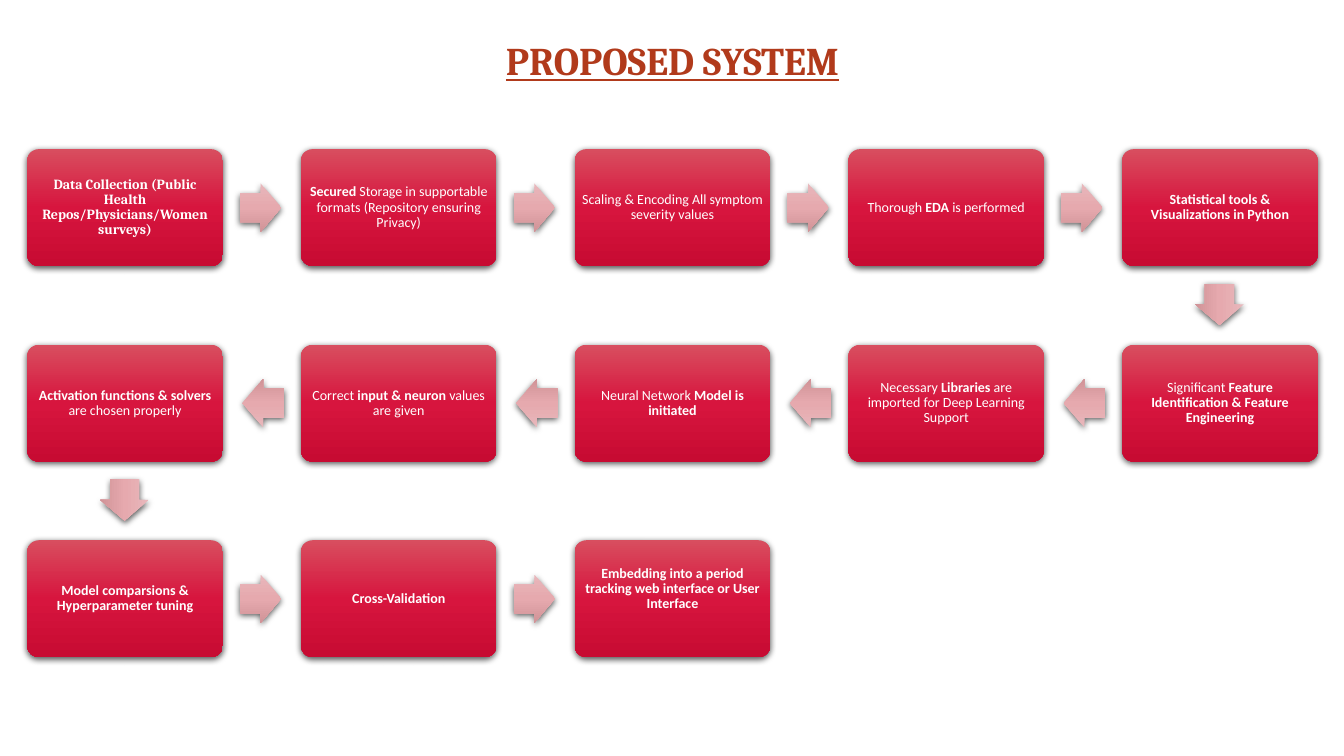
from lxml import etree
from pptx import Presentation
from pptx.dml.color import RGBColor
from pptx.enum.shapes import MSO_SHAPE as Preset
from pptx.enum.text import MSO_ANCHOR as Anchor, PP_ALIGN as Align
from pptx.oxml.ns import nsdecls
from pptx.util import Inches, Pt

COLORS = {"title": "B13A1B", "text": "FFFFFF", "shadow": "000000"}
GRADIENTS = {
    "step": ("D84E5F", "D7153E", "C70B32"),
    "arrow": ("E8B7BB", "E6A9AE", "D09397"),
}
COLUMNS = 5
LEFT, TOP = 0.27, 1.48
STEP_WIDTH, STEP_HEIGHT = 1.94, 1.16
COLUMN_PITCH, ROW_PITCH = (11.13 - LEFT) / (COLUMNS - 1), 1.94
ARROW_WIDTH, ARROW_HEIGHT = 0.41, 0.48

STEPS = [
    [("Data Collection (Public Health Repos/Physicians/Women surveys)", True)],
    [("Secured\u00a0", True),
     ("Storage in supportable formats (Repository ensuring Privacy)", False)],
    [("Scaling & Encoding All symptom severity values", False)],
    [("Thorough ", False), ("EDA ", True), ("is performed", False)],
    [("Statistical tools & Visualizations in Python", True)],
    [("Significant ", False), ("Feature Identification & Feature Engineering", True)],
    [("Necessary ", False), ("Libraries ", True),
     ("are imported for Deep Learning Support", False)],
    [("Neural Network ", False), ("Model is initiated", True)],
    [("Correct ", False), ("input & neuron ", True), ("values are given", False)],
    [("Activation functions & solvers ", True), ("are chosen properly", False)],
    [("Model comparsions & Hyperparameter tuning", True)],
    [("Cross-Validation", True)],
    [("Embedding into a period tracking web interface or User Interface", True)],
]


def write_text(shape, runs, size=10, font="Calibri", color="text", underline=None,
               spacing=0.9, margin=0.04, bottom=None):
    frame = shape.text_frame
    frame.word_wrap = True
    frame.vertical_anchor = Anchor.MIDDLE
    frame.margin_left = frame.margin_right = frame.margin_top = Inches(margin)
    frame.margin_bottom = Inches(margin if bottom is None else bottom)
    paragraph = frame.paragraphs[0]
    paragraph.alignment = Align.CENTER
    paragraph.line_spacing = spacing
    for text, bold in runs:
        run = paragraph.add_run()
        run.text = text
        run.font.size = Pt(size)
        run.font.name = font
        run.font.bold = bold
        run.font.underline = underline
        run.font.color.rgb = RGBColor.from_string(COLORS[color])


def add_glossy_shape(slide, preset, left, top, width, height, gradient, adjustments):
    shape = slide.shapes.add_shape(
        preset, Inches(left), Inches(top), Inches(width), Inches(height))
    for index, value in enumerate(adjustments):
        shape.adjustments[index] = value
    stops = "".join(
        f'<a:gs pos="{index * 50000}"><a:srgbClr val="{color}"/></a:gs>'
        for index, color in enumerate(GRADIENTS[gradient]))
    properties = shape._element.spPr
    properties.append(etree.fromstring(
        f'<a:gradFill {nsdecls("a")} rotWithShape="1"><a:gsLst>{stops}</a:gsLst>'
        '<a:lin ang="5400000" scaled="0"/></a:gradFill>'))
    shape.line.fill.background()
    properties.append(etree.fromstring(
        f'<a:effectLst {nsdecls("a")}><a:outerShdw blurRad="{Pt(4.5)}" '
        f'dist="{Pt(1.5)}" dir="5400000" algn="ctr" rotWithShape="0">'
        f'<a:srgbClr val="{COLORS["shadow"]}"><a:alpha val="63000"/></a:srgbClr>'
        '</a:outerShdw></a:effectLst>'))
    return shape


def step_cell(index):
    row, offset = divmod(index, COLUMNS)
    return row, offset if row % 2 == 0 else COLUMNS - 1 - offset


def cell_corner(row, column):
    return LEFT + column * COLUMN_PITCH, TOP + row * ROW_PITCH


def add_step(slide, index, runs):
    left, top = cell_corner(*step_cell(index))
    step = add_glossy_shape(slide, Preset.ROUNDED_RECTANGLE, left, top,
                            STEP_WIDTH, STEP_HEIGHT, "step", [0.1])
    write_text(step, runs, font="Cambria" if index == 0 else "Calibri",
               bottom=0.23 if index == len(STEPS) - 1 else None)


def add_arrow(slide, index):
    row, column = step_cell(index)
    next_row, next_column = step_cell(index + 1)
    left, top = cell_corner(row, column)
    if next_row > row:
        dx, dy, rotation = 0.76, 1.3, 90
    elif next_column > column:
        dx, dy, rotation = 2.11, 0.34, 0
    else:
        dx, dy, rotation = -0.58, 0.34, 180
    arrow = add_glossy_shape(slide, Preset.RIGHT_ARROW, left + dx, top + dy,
                             ARROW_WIDTH, ARROW_HEIGHT, "arrow", [0.6, 0.5])
    arrow.rotation = rotation


def add_title(slide, text):
    title = slide.shapes.add_textbox(Inches(4.62), Inches(0.31), Inches(4.1), Inches(0.57))
    write_text(title, [(text, True)], size=28, font="Cambria", color="title",
               underline=True, spacing=1, margin=0.05)


def main():
    presentation = Presentation()
    presentation.slide_width = Inches(13.33)
    presentation.slide_height = Inches(7.5)
    slide = presentation.slides.add_slide(presentation.slide_layouts[6])
    add_title(slide, "PROPOSED SYSTEM")
    for index, runs in enumerate(STEPS):
        add_step(slide, index, runs)
        if index < len(STEPS) - 1:
            add_arrow(slide, index)
    presentation.save("out.pptx")


if __name__ == "__main__":
    main()
